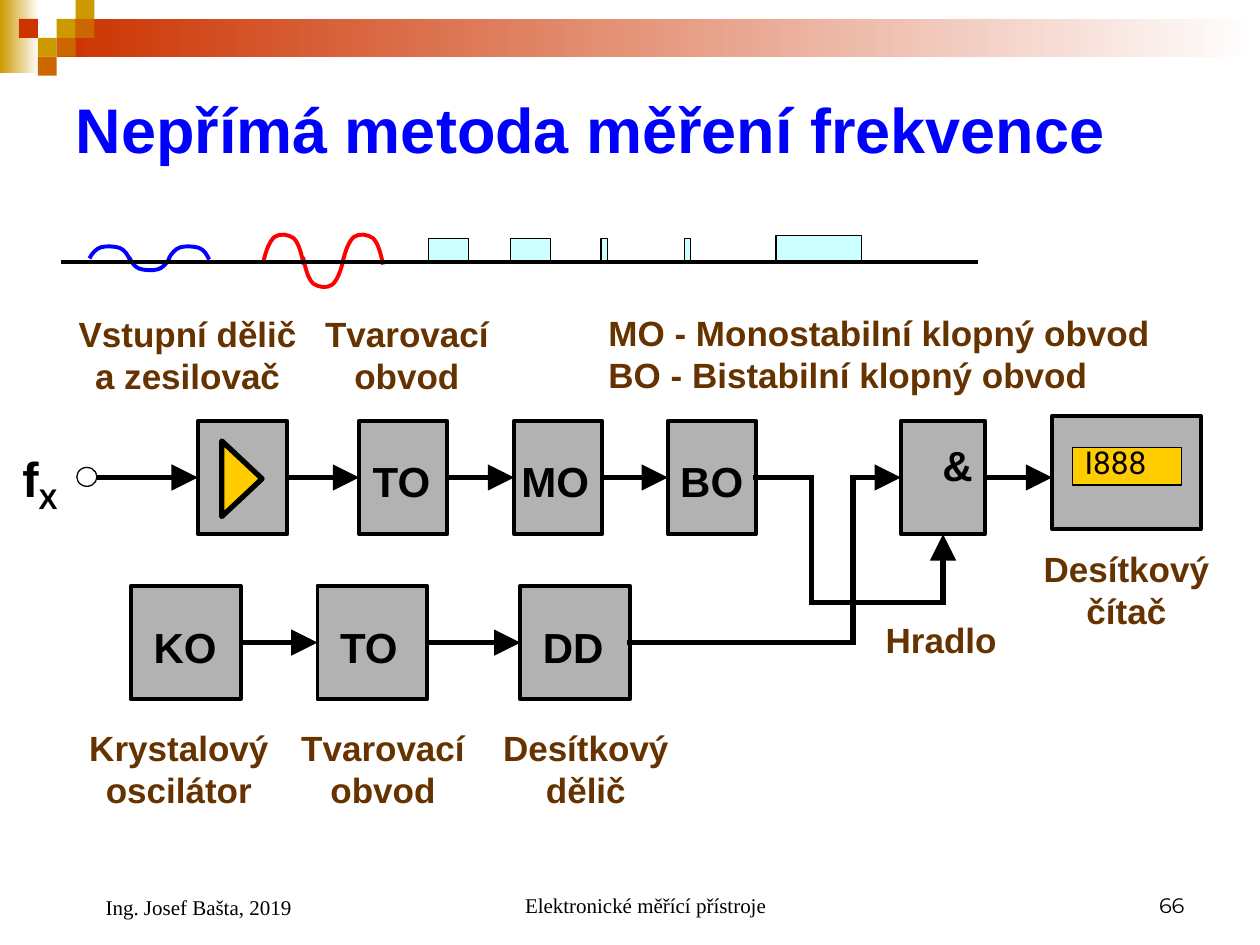
from dataclasses import dataclass
from itertools import pairwise
from typing import Any

from lxml.etree import SubElement as Sub
from pptx import Presentation
from pptx.dml.color import RGBColor as RGB
from pptx.enum.shapes import MSO_CONNECTOR as LINK, MSO_SHAPE as FORM
from pptx.enum.text import MSO_ANCHOR as ANCHOR, MSO_AUTO_SIZE as AUTO, PP_ALIGN as ALIGN
from pptx.oxml.ns import qn
from pptx.util import Inches, Pt

BLACK = RGB(0, 0, 0)
WHITE = RGB(255, 255, 255)
BLUE = RGB(0, 0, 255)
RED = RGB(255, 0, 0)
BROWN = RGB(0x66, 0x33, 0)
GRAY = RGB(0xB2, 0xB2, 0xB2)
CYAN = RGB(0xCC, 255, 255)
YELLOW = RGB(255, 0xCC, 0)
GOLD = RGB(0xCC, 0x99, 0)
ORANGE = RGB(0xCC, 0x66, 0)
RUST = RGB(0xCC, 0x33, 0)
COLS = 100
UNIT = Inches(10) // COLS
HUMP = [(0, .92), (.06, .56), (.16, .24), (.28, .12), (.41, 0),
        (.62, .04), (.75, .16), (.88, .32), (.94, .64), (1, 1)]
TOP, RIGHT, LEFT, BOTTOM = 0, 3, 1, 2


@dataclass
class Area:
    """A region of the slide, measured in grid columns and rows."""
    slide: Any
    x: float
    y: float
    w: float
    h: float

    def spot(self, x, y):
        """Turn a grid point of this region into slide lengths."""
        return round((self.x + x) * UNIT), round((self.y + y) * UNIT)

    def form(self, x, y, w, h, fill=None, line=None, kind=FORM.RECTANGLE):
        """Add a preset shape with an optional fill and line width."""
        shape = self.slide.shapes.add_shape(
            kind, *self.spot(x, y), round(w * UNIT), round(h * UNIT))
        paint(shape, fill, line)
        return shape

    def text(self, x, y, w, h, words, size, color=BLACK, bold=True,
             face="Arial", align=ALIGN.LEFT, anchor=ANCHOR.TOP, wrap=True):
        """Add a one-paragraph text box and return its paragraph."""
        box = self.slide.shapes.add_textbox(
            *self.spot(x, y), round(w * UNIT), round(h * UNIT))
        frame = box.text_frame
        frame.word_wrap, frame.vertical_anchor = wrap, anchor
        par = frame.paragraphs[0]
        par.text = words
        par.alignment = align
        style(par, size, color, bold, face)
        return par

    def wire(self, points, start=None, end=None, head=True, width=3):
        """Run straight lines through points, joined to shapes at the ends."""
        last = len(points) - 2
        for i, (a, b) in enumerate(pairwise(points)):
            link = self.slide.shapes.add_connector(
                LINK.STRAIGHT, *self.spot(*a), *self.spot(*b))
            link.line.color.rgb = BLACK
            link.line.width = Pt(width)
            if start and i == 0:
                link.begin_connect(*start)
            if end and i == last:
                link.end_connect(*end)
            props = link.element.spPr
            Sub(props, qn("a:effectLst"))
            line = props.find(qn("a:ln"))
            if head and i == last:
                Sub(line, qn("a:tailEnd"), type="triangle", w="lg", len="lg")
            else:
                line.set("cap", "sq")

    def curve(self, x, y, w, h, color, flip=False):
        """Draw a smooth half wave, turned upside down if asked."""
        points = [self.spot(x + w * (1 - u if flip else u),
                            y + h * (1 - v if flip else v)) for u, v in HUMP]
        pen = self.slide.shapes.build_freeform(*points[0])
        pen.add_line_segments(points[1:], close=False)
        shape = pen.convert_to_shape()
        paint(shape, None, 2.25, color)
        track = shape.element.find(".//" + qn("a:path"))
        steps = track.findall(qn("a:lnTo"))
        for i in range(0, len(steps), 3):
            arc = Sub(track, qn("a:cubicBezTo"))
            for step in steps[i:i + 3]:
                arc.append(step[0])
                track.remove(step)


def paint(shape, fill, line, color=BLACK):
    """Set the fill and outline of a shape and drop its shadow."""
    shape.shadow.inherit = False
    if fill is None:
        shape.fill.background()
    else:
        shape.fill.solid()
        shape.fill.fore_color.rgb = fill
    if line is None:
        shape.line.fill.background()
    else:
        shape.line.color.rgb = color
        shape.line.width = Pt(line)


def style(par, size, color, bold, face):
    """Set the font of a paragraph."""
    font = par.font
    font.size, font.bold, font.name = Pt(size), bold, face
    font.color.rgb = color


def banner(area):
    """Draw the fading bars and the corner mosaic."""
    side = area.h / 5
    for x, y, w, h, color in ((0, 0, 3.1, 5.8, GOLD),
                              (3 * side, side, area.w - 3 * side, 3, RUST)):
        fill = area.form(x, y, w, h).fill
        fill.gradient()
        fill.gradient_angle = 0
        for stop, shade in zip(fill.gradient_stops, (color, WHITE)):
            stop.color.rgb = shade
    for col, row, color in ((3, 1, GOLD), (4, 0, GOLD), (4, 1, ORANGE), (2, 2, GOLD),
                            (1, 1, RUST), (3, 2, ORANGE), (2, 3, ORANGE)):
        area.form(col * side, row * side, side, side, color)


def heading(area, words):
    """Place and format the title."""
    title = area.slide.shapes.title
    title.left, title.top = area.spot(0, 0)
    title.width, title.height = round(area.w * UNIT), round(area.h * UNIT)
    frame = title.text_frame
    frame.auto_size, frame.vertical_anchor = AUTO.NONE, ANCHOR.MIDDLE
    par = frame.paragraphs[0]
    par.text, par.alignment = words, ALIGN.LEFT
    style(par, 36, BLUE, True, "Arial")


def signals(area):
    """Draw the waves and pulses along their time axis."""
    pitch = 3.15
    for x, y, h, color in ((15.9, 0, 2.5, RED), (2.1, 1, 1.1, BLUE)):
        for i in range(3):
            low = i == 1
            area.curve(x + i * pitch, 1.9 if low else y, 3.2, h, color, low)
    for x, w in ((29, 3.2), (35.5, 3.2), (42.7, .5), (49.3, .5)):
        area.form(x, .4, w, 1.9, CYAN, .75)
    area.form(56.6, .2, 6.8, 2.1, CYAN, .75)
    area.wire([(0, 2.3), (area.w, 2.3)], head=False, width=2)


def diagram(area):
    """Draw the block diagram with its wires and captions."""
    mid, low = 13.9, 27
    blocks = {}
    for name, x, y, w, shift in (
            ("amp", 15.7, mid, 7.1, None), ("TO", 28.5, mid, 7, .1),
            ("MO", 40.8, mid, 7, -.4), ("BO", 53, mid, 7, 0),
            ("&", 71.5, mid, 6.7, None), ("KO", 10.4, low, 8.7, .8),
            ("TO ", 25.2, low, 8.7, .8), ("DD", 41.3, low, 8.7, .8)):
        blocks[name] = area.form(x, y - 4.5, w, 9, GRAY, 2.25)
        if shift is not None:
            area.text(x + shift, y - 2.2, 8.5, 5, name.strip(), 24, wrap=False)
    area.form(16.2, 12.4, 6, 3.2, YELLOW, 3, FORM.ISOSCELES_TRIANGLE).rotation = 90
    area.text(73.8, 10.4, 4.2, 5, "&", 24, wrap=False)
    area.form(83.5, 9, 11.8, 9, GRAY, 2.25)
    area.form(85.1, 11.5, 8.7, 3, YELLOW, .75)
    area.text(85.1, 10.7, 9.4, 4, "I888", 18, bold=False, face="Roboto")
    area.form(6.1, mid - .8, 1.6, 1.5, None, .75, FORM.OVAL)
    sign = area.text(.8, 11.1, 9.4, 6.3, "f", 28)
    index = sign.add_run()
    index.text = "X"
    index._r.get_or_add_rPr().set("baseline", "-25000")

    for a, b in (("amp", "TO"), ("TO", "MO"), ("MO", "BO"), ("KO", "TO "), ("TO ", "DD")):
        area.wire([(0, 0), (1, 1)], (blocks[a], RIGHT), (blocks[b], LEFT))
    gate = blocks["&"]
    area.wire([(7.7, mid), (15.7, mid)], end=(blocks["amp"], LEFT))
    area.wire([(78.2, mid), (83.5, mid)], start=(gate, RIGHT))
    area.wire([(60, mid), (64.4, mid), (64.4, 23.8), (74.85, 23.8), (74.85, 18.4)],
              (blocks["BO"], RIGHT), (gate, BOTTOM))
    area.wire([(50, low), (67.7, low), (67.7, mid), (71.5, mid)],
              (blocks["DD"], RIGHT), (gate, LEFT))

    for x, y, w, words in (
            (5.1, .3, 19.6, "Vstupní dělič\na zesilovač"), (24.6, .3, 15.4, "Tvarovací obvod"),
            (67, 24.6, 15.4, "Hradlo"), (81.7, 19, 15.4, "Desítkový čítač"),
            (5.6, 33.2, 17.2, "Krystalový oscilátor"), (22.7, 33.2, 15.4, "Tvarovací obvod"),
            (38.8, 33.2, 15.4, "Desítkový dělič")):
        area.text(x, y, w, 4.4 if words == "Hradlo" else 7.7, words, 20, BROWN,
                  align=ALIGN.CENTER)
    area.text(47.3, .2, 47.9, 7.7,
              "MO - Monostabilní klopný obvod\nBO - Bistabilní klopný obvod", 20, BROWN)


def footer(area):
    """Write the author, the subject and the page number."""
    serif = "Times New Roman"
    for x, w, h, words, face, align in (
            (29.2, 31.7, 5, "Elektronické měřící přístroje", serif, ALIGN.CENTER),
            (66.7, 23.3, 5, "66", "Montserrat", ALIGN.RIGHT),
            (0, 23.3, 5.2, "Ing. Josef Bašta, 2019", serif, ALIGN.LEFT)):
        par = area.text(x, 0, w, h, words, 12, bold=False, face=face, align=align,
                        anchor=ANCHOR.BOTTOM)
        if face == serif:
            par._p.get_or_add_pPr().set("marL", str(Inches(.24)))


def main():
    """Build the slide and save it."""
    deck = Presentation()
    deck.slide_width, deck.slide_height = Inches(10), Inches(7.5)
    slide = deck.slides.add_slide(deck.slide_layouts[5])
    banner(Area(slide, 0, 0, COLS, 7.5))
    diagram(Area(slide, 0, 24, COLS, 41))
    signals(Area(slide, 5, 18.5, 72.5, 4.4))
    heading(Area(slide, 5, 5, 90, 10.3), "Nepřímá metoda měření frekvence")
    footer(Area(slide, 5, 68.3, 90, 5.2))
    deck.save("out.pptx")


if __name__ == "__main__":
    main()
